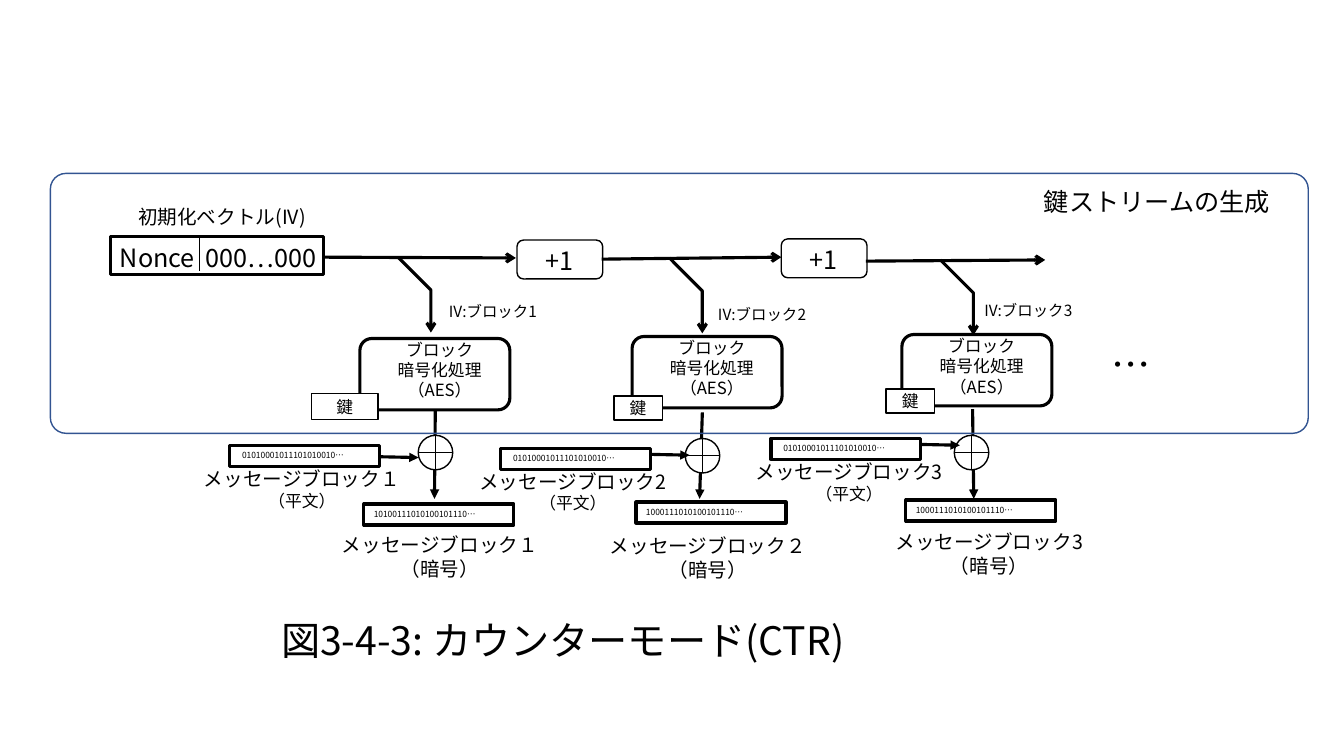
from lxml.etree import SubElement as Sub
from pptx import Presentation
from pptx.dml.color import RGBColor
from pptx.enum.shapes import MSO_CONNECTOR as Link, MSO_SHAPE as Kind
from pptx.enum.text import MSO_ANCHOR as Anchor, PP_ALIGN as Align
from pptx.oxml.ns import qn
from pptx.util import Cm, Pt

FONT = "Noto Sans CJK JP"
BLACK = RGBColor(0, 0, 0)
WHITE = RGBColor(255, 255, 255)
BLUE = RGBColor(0x32, 0x54, 0x91)

TITLE = "図3-4-3: カウンターモード(CTR)"
AES = "ブロック\n暗号化処理\n（AES）"
BITS = "01010001011101010010…"

LANES = [
    dict(box=(9.07, 8.53), key=(7.85, 9.91, 1.68, 0.66), iv=(10.67, 7.49),
         fork=(10.03, 6.48), xor=(10.54, 10.97), drop=(10.97, 10.31, 10.95),
         plain=(5.79, 11.23), feed=0.28, mid=7.61, out=(11.09, 13.31),
         names=("ブロック1", "ブロック１", "ブロック１"), code="10100111010100101110…"),
    dict(box=(15.93, 8.48), key=(15.47, 9.98, 1.22, 0.61), iv=(17.45, 7.57),
         fork=(16.87, 6.5), xor=(17.27, 11.05), drop=(17.7, 10.39, 17.63),
         plain=(12.62, 11.3), feed=0.15, mid=14.44, out=(17.84, 13.34),
         names=("ブロック2", "ブロック2", "ブロック２"), code="1000111010100101110…"),
    dict(box=(22.73, 8.43), key=(22.33, 9.8, 1.22, 0.61), iv=(24.16, 7.47),
         fork=(23.7, 6.55), xor=(24.05, 10.97), drop=(24.51, 10.31, 24.54),
         plain=(19.43, 11.05), feed=0.15, mid=21.4, out=(24.93, 13.23),
         names=("ブロック3", "ブロック3", "ブロック3"), code="1000111010100101110…"),
]
STEPS = [(8.15, 6.48, 13, 6.5), (15.16, 6.53, 19.69, 6.48), (21.82, 6.58, 26.34, 6.55)]
ADDERS = [(13.03, 6.05), (19.69, 6.02)]
BOX_W, BOX_H, BAR_H, RING = 3.78, 1.8, 0.53, 0.87
TIP_Y = 12.57


def style(frame, sizes, align):
    """Format every paragraph, taking the last size for any further lines."""
    for i, para in enumerate(frame.paragraphs):
        para.alignment = align
        for run in para.runs:
            font = run.font
            font.size = Pt(sizes[min(i, len(sizes) - 1)])
            font.name = FONT
            font.color.rgb = BLACK
            Sub(font._element, qn("a:ea"), typeface=FONT)


def label(slide, text, x, y, w, h, *sizes, align=Align.LEFT, wrap=True):
    """Add a text box."""
    frame = slide.shapes.add_textbox(Cm(x), Cm(y), Cm(w), Cm(h)).text_frame
    frame.word_wrap = wrap
    frame.text = text
    style(frame, sizes, align)
    return frame


def block(slide, kind, x, y, w, h, width, fill=None, color=BLACK):
    """Add an outlined shape."""
    shape = slide.shapes.add_shape(kind, Cm(x), Cm(y), Cm(w), Cm(h))
    shape.shadow.inherit = False
    if fill is None:
        shape.fill.background()
    else:
        shape.fill.solid()
        shape.fill.fore_color.rgb = fill
    shape.line.color.rgb = color
    shape.line.width = Pt(width)
    return shape


def head(shape, kind):
    """Put an arrowhead at the far end."""
    Sub(shape.line._get_or_add_ln(), qn("a:tailEnd"), type=kind)


def line(slide, x1, y1, x2, y2, width, tip=None):
    """Add a straight line with an optional arrowhead."""
    link = slide.shapes.add_connector(Link.STRAIGHT, Cm(x1), Cm(y1), Cm(x2), Cm(y2))
    link.line.color.rgb = BLACK
    link.line.width = Pt(width)
    if tip:
        head(link, tip)
    Sub(link._element.spPr, qn("a:effectLst"))


def fork(slide, x, y):
    """Add the bent arrow that leads into a cipher box."""
    path = slide.shapes.build_freeform(Cm(x), Cm(y))
    path.add_line_segments(
        [(Cm(x + 0.83), Cm(y + 0.83)), (Cm(x + 0.83), Cm(y + 1.9))], close=False)
    bend = path.convert_to_shape()
    bend.shadow.inherit = False
    bend.fill.background()
    bend.line.color.rgb = BLACK
    bend.line.width = Pt(2.25)
    head(bend, "arrow")


def bar(slide, text, x, y, shift):
    """Add a framed row of bits."""
    block(slide, Kind.RECTANGLE, x, y, BOX_W, BAR_H, 2.25)
    label(slide, text, x + shift, y, 5.82, 0.51, 6)


def ring(slide, x, y):
    """Add an XOR sign."""
    half = RING / 2
    block(slide, Kind.OVAL, x, y, RING, RING, 1, WHITE)
    line(slide, x, y + half, x + RING, y + half, 0.5)
    line(slide, x + half, y, x + half, y + RING, 0.5)


def lane(slide, data):
    """Draw one message block from counter to cipher text."""
    count, source, result = data["names"]
    x, top, end = data["drop"]
    line(slide, x, top, end, TIP_Y, 2.25, "triangle")
    ring(slide, *data["xor"])

    x, y = data["box"]
    block(slide, Kind.ROUNDED_RECTANGLE, x, y, BOX_W, BOX_H, 2.25)
    label(slide, AES, x + 0.69, y - 0.09, 2.64, BOX_H, 12, align=Align.CENTER, wrap=False)
    bar(slide, data["code"], x + 0.1, y + 4.17, 0)
    key = block(slide, Kind.RECTANGLE, *data["key"], 1, WHITE)
    key.text_frame.text = "鍵"
    key.text_frame.vertical_anchor = Anchor.MIDDLE
    style(key.text_frame, [12], Align.CENTER)

    label(slide, f"IV:{count}", *data["iv"], 3.51, 0.74, 11, align=Align.CENTER)
    fork(slide, *data["fork"])

    x, y = data["plain"]
    bar(slide, BITS, x, y, 0.06)
    feed = y + data["feed"]
    line(slide, x + 3.81, feed, x + 4.76, feed + 0.02, 2.25, "triangle")
    label(slide, f"メッセージ{source}\n（平文）", data["mid"] - 2.75, y + 0.41, 5.5, 1.37,
          14, 12, align=Align.CENTER, wrap=False)
    x, y = data["out"]
    label(slide, f"メッセージ{result}\n（暗号）", x - 2.75, y, 5.5, 1.45,
          14, align=Align.CENTER, wrap=False)


def main():
    """Build the counter mode slide."""
    deck = Presentation()
    deck.slide_width, deck.slide_height = Cm(33.87), Cm(19.05)
    slide = deck.slides.add_slide(deck.slide_layouts[5])

    title = slide.shapes.title
    title.left, title.top, title.width, title.height = Cm(6.83), Cm(14.35), Cm(18.69), Cm(3.68)
    title.text_frame.text = TITLE
    title.text_frame.vertical_anchor = Anchor.MIDDLE
    title.text_frame.paragraphs[0].line_spacing = 0.9
    style(title.text_frame, [28], Align.LEFT)

    for data in LANES:
        lane(slide, data)

    label(slide, "初期化ベクトル(IV)", 3.12, 5.05, 4.95, 0.86, 14, align=Align.CENTER)
    block(slide, Kind.RECTANGLE, 2.79, 5.97, 5.36, 0.94, 2.25)
    nonce = label(slide, "Nonce\t000…000", 2.77, 5.99, 6.3, 1.02, 18)
    tabs = Sub(nonce.paragraphs[0]._p.get_or_add_pPr(), qn("a:tabLst"))
    Sub(tabs, qn("a:tab"), pos=str(Cm(2.17)), algn="l")
    line(slide, 5.03, 5.94, 5.03, 6.83, 0.5)

    for x, y in ADDERS:
        block(slide, Kind.ROUNDED_RECTANGLE, x, y, 2.16, 0.98, 1, WHITE)
        label(slide, "+1", x + 0.46, y, 1.32, 0.98, 18, wrap=False)
    for step in STEPS:
        line(slide, *step, 2.25, "arrow")
    label(slide, "…", 27.76, 8.46, 1.5, 1.45, 28, wrap=False)

    zone = block(slide, Kind.ROUNDED_RECTANGLE, 1.27, 4.37, 31.7, 6.55, 1, color=BLUE)
    zone.adjustments[0] = 0.06
    label(slide, "鍵ストリームの生成", 26.06, 4.57, 6.43, 1.02, 18)
    deck.save("out.pptx")


if __name__ == "__main__":
    main()
